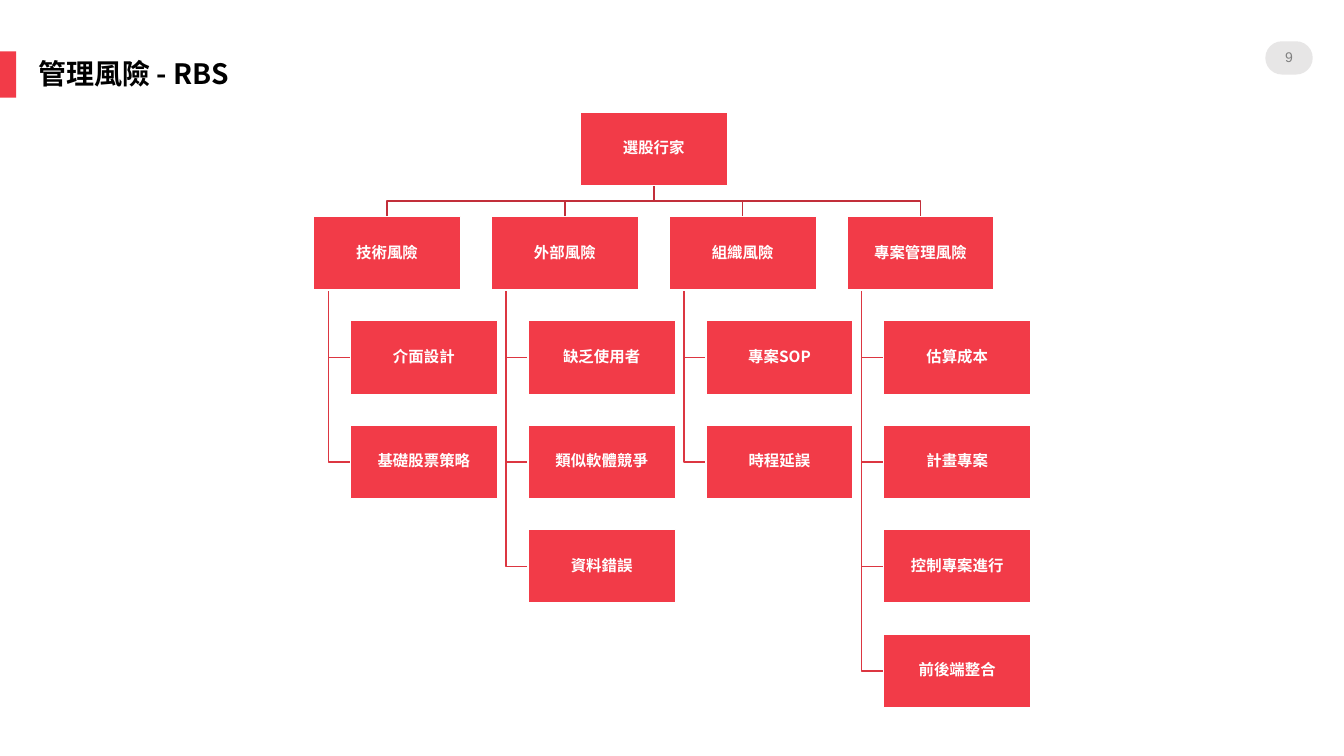
from pptx import Presentation
from pptx.dml.color import RGBColor
from pptx.enum.shapes import MSO_SHAPE
from pptx.enum.text import MSO_ANCHOR, PP_ALIGN
from pptx.oxml.ns import qn
from pptx.util import Inches, Pt

RED, TRUNK, BRANCH = "F23B48", "C22F3A", "DC3641"
BOX_W, BOX_H = 1.46, 0.73
TOP, FIRST_LEFT, LAST_LEFT = 1.11, 3.11, 8.4
ROW_STEP = (6.29 - TOP) / 5

ROOT = "選股行家"
RISKS = {
    "技術風險": ["介面設計", "基礎股票策略"],
    "外部風險": ["缺乏使用者", "類似軟體競爭", "資料錯誤"],
    "組織風險": ["專案SOP", "時程延誤"],
    "專案管理風險": ["估算成本", "計畫專案", "控制專案進行", "前後端整合"],
}


def color(code):
    return RGBColor.from_string(code)


class RiskSlide:
    """Holds the style and the current slide of the risk breakdown."""

    font = "Noto Sans CJK SC"

    def __init__(self, slide):
        self.shapes = slide.shapes

    def set_text(self, frame, text, size, ink, font=font, bold=True):
        frame.text = text
        frame.word_wrap = True
        paragraph = frame.paragraphs[0]
        paragraph.line_spacing = 0.9
        for run in paragraph.runs:
            run.font.size = Pt(size)
            run.font.bold = bold
            run.font.name = font
            run.font.color.rgb = color(ink)
            east_asian = run.font._element.makeelement(qn("a:ea"), {"typeface": font})
            run.font._element.append(east_asian)
        return paragraph

    def block(self, kind, left, top, width, height, fill, rounding=None):
        block = self.shapes.add_shape(
            kind, Inches(left), Inches(top), Inches(width), Inches(height))
        block.shadow.inherit = False
        block.fill.solid()
        block.fill.fore_color.rgb = color(fill)
        block.line.fill.background()
        if rounding is not None:
            block.adjustments[0] = rounding
        return block

    def label(self, block, text, size, ink, inset, **style):
        frame = block.text_frame
        frame.margin_left = frame.margin_right = Inches(inset)
        frame.margin_top = frame.margin_bottom = Inches(inset)
        frame.vertical_anchor = MSO_ANCHOR.MIDDLE
        self.set_text(frame, text, size, ink, **style).alignment = PP_ALIGN.CENTER

    def title(self, text):
        heading = self.shapes.add_textbox(
            Inches(0.28), Inches(0.55), Inches(4.17), Inches(0.46))
        self.set_text(heading.text_frame, text, 20, "000000")

    def box(self, left, top, text):
        box = self.block(MSO_SHAPE.RECTANGLE, left, top, BOX_W, BOX_H, RED)
        box.line.color.rgb = color("FFFFFF")
        box.line.width = Pt(1)
        self.label(box, text, 11, "FFFFFF", 0.01)

    def elbow(self, points, ink):
        start, *rest = [(Inches(x), Inches(y)) for x, y in points]
        builder = self.shapes.build_freeform(*start)
        builder.add_line_segments(rest, close=False)
        elbow = builder.convert_to_shape()
        elbow.shadow.inherit = False
        elbow.fill.background()
        elbow.line.color.rgb = color(ink)
        elbow.line.width = Pt(1)

    def tree(self, root, risks):
        root_left = (FIRST_LEFT + LAST_LEFT) / 2
        root_x, root_bottom = root_left + BOX_W / 2, TOP + BOX_H
        risk_top = TOP + ROW_STEP
        bar_y = (root_bottom + risk_top) / 2
        column_step = (LAST_LEFT - FIRST_LEFT) / (len(risks) - 1)
        boxes = [(root_left, TOP, root)]
        for column, (risk, causes) in enumerate(risks.items()):
            left = FIRST_LEFT + column * column_step
            risk_x, stem_x = left + BOX_W / 2, left + BOX_W / 10
            cause_left = left + BOX_W / 4
            self.elbow([(root_x, root_bottom), (root_x, bar_y),
                        (risk_x, bar_y), (risk_x, risk_top)], TRUNK)
            boxes.append((left, risk_top, risk))
            for row, cause in enumerate(causes, start=2):
                cause_top = TOP + row * ROW_STEP
                cause_y = cause_top + BOX_H / 2
                self.elbow([(stem_x, risk_top + BOX_H), (stem_x, cause_y),
                            (cause_left, cause_y)], BRANCH)
                boxes.append((cause_left, cause_top, cause))
        for box in boxes:
            self.box(*box)


def main():
    deck = Presentation()
    deck.slide_width, deck.slide_height = Inches(13.33), Inches(7.5)
    page = RiskSlide(deck.slides.add_slide(deck.slide_layouts[6]))
    page.block(MSO_SHAPE.ROUNDED_RECTANGLE, 0, 0.51, 0.16, 0.46, RED, 0)
    page_badge = page.block(
        MSO_SHAPE.ROUNDED_RECTANGLE, 12.55, 0.41, 0.47, 0.33, "E7E6E6", 0.5)
    page.label(page_badge, "9", 10, "808080", 0, font="Arial", bold=False)
    page.title("管理風險 - RBS")
    page.tree(ROOT, RISKS)
    deck.save("out.pptx")


if __name__ == "__main__":
    main()
